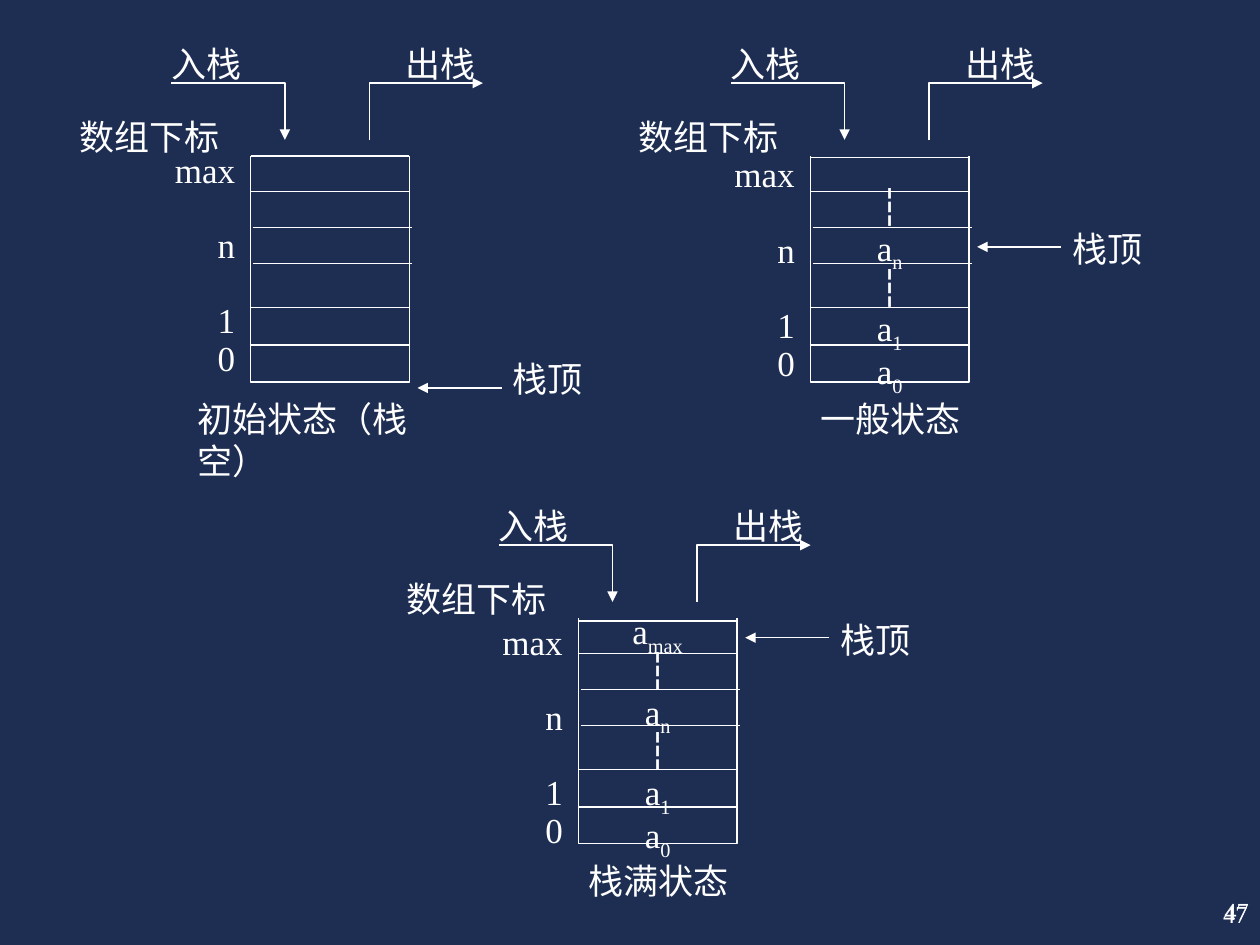
from lxml.etree import SubElement
from pptx import Presentation
from pptx.dml.color import RGBColor
from pptx.enum.shapes import MSO_CONNECTOR
from pptx.enum.text import MSO_ANCHOR, PP_ALIGN
from pptx.oxml.ns import qn
from pptx.util import Pt

COLORS = {"background": "1E2E53", "ink": "FFFFFF"}
FONT = "Times New Roman"

presentation = Presentation()
presentation.slide_width, presentation.slide_height = Pt(720), Pt(540)
slide = presentation.slides.add_slide(presentation.slide_layouts[6])
slide.background.fill.solid()
slide.background.fill.fore_color.rgb = RGBColor.from_string(COLORS["background"])


def add_text(left, top, width, height, lines, align=PP_ALIGN.LEFT, size=20, margins=(0, 0)):
    """Each line is (text, subscript, line spacing, space before)."""
    frame = slide.shapes.add_textbox(Pt(left), Pt(top), Pt(width), Pt(height)).text_frame
    frame.word_wrap = True
    frame.margin_left = frame.margin_right = Pt(margins[0])
    frame.margin_top = frame.margin_bottom = Pt(margins[1])
    for index, (text, subscript, spacing, before) in enumerate(lines):
        paragraph = frame.add_paragraph() if index else frame.paragraphs[0]
        paragraph.alignment = align
        paragraph.line_spacing = spacing
        paragraph.space_before = Pt(before)
        paragraph.font.size = Pt(size)
        paragraph.font.name = FONT
        paragraph.font.color.rgb = RGBColor.from_string(COLORS["ink"])
        paragraph.add_run().text = text
        if subscript:
            run = paragraph.add_run()
            run.text = subscript
            run._r.get_or_add_rPr().set("baseline", "-25000")
    return frame


def add_line(points, arrow=None):
    """Two points make a connector, more make an open outline; arrow is headEnd or tailEnd."""
    points = [(Pt(x), Pt(y)) for x, y in points]
    if len(points) == 2:
        shape = slide.shapes.add_connector(MSO_CONNECTOR.STRAIGHT, *points[0], *points[1])
    else:
        builder = slide.shapes.build_freeform(*points[0], scale=1)
        builder.add_line_segments(points[1:], close=False)
        shape = builder.convert_to_shape()
        shape.fill.background()
    shape.line.color.rgb = RGBColor.from_string(COLORS["ink"])
    shape.line.width = Pt(0.75)
    properties = shape._element.spPr
    if arrow:
        SubElement(properties.find(qn("a:ln")), qn(f"a:{arrow}"), type="triangle")
    SubElement(properties, qn("a:effectLst"))


STACK_WIDTH, STACK_HEIGHT = 90.7, 129
# (offset from the stack top, shift to the right)
DIVIDERS = [(20.2, 0), (41, 1.5), (61.2, 1.5), (86.4, 0), (108, 0)]
LOWER_CELLS = [("┆", ""), ("a", "n"), ("┆", ""), ("a", "1"), ("a", "0")]
# Index labels with the gap left above each
INDEXES = [("max", 0), ("n", 21.4), ("1", 21.4), ("0", 0)]

# Vertical offsets below are measured from the top of each stack
stacks = [
    dict(left=143.2, top=89.2, caption="初始状态（栈空）", caption_align=PP_ALIGN.LEFT,
         lid=0, index_top=-4.3, max_spacing=1.0,
         pointer=132.5, pointer_label=115.2, cells=[], cells_top=0),
    dict(left=463, top=89.2, caption="一般状态", caption_align=PP_ALIGN.CENTER,
         lid=0.8, index_top=0.8, max_spacing=0.9,
         pointer=51.9, pointer_label=41, cells=LOWER_CELLS, cells_top=18.8),
    dict(left=330.4, top=353.2, caption="栈满状态", caption_align=PP_ALIGN.CENTER,
         lid=1.6, index_top=-3.3, max_spacing=1.2,
         pointer=11.2, pointer_label=0.4,
         cells=[("a", "max")] + LOWER_CELLS, cells_top=-4.7),
]

for stack in stacks:
    left, top = stack["left"], stack["top"]
    right, bottom = left + STACK_WIDTH, top + STACK_HEIGHT

    # Stack walls, lid and dividers
    add_line([(left, top), (left, bottom), (right, bottom), (right, top)])
    for offset, shift in [(stack["lid"], 0)] + DIVIDERS:
        add_line([(left + shift, top + offset), (right + shift, top + offset)])

    # Stored elements
    if stack["cells"]:
        add_text(left + 4.7, top + stack["cells_top"], 81.4, 22 * len(stack["cells"]),
                 [(text, subscript, 0.9, 0) for text, subscript in stack["cells"]],
                 PP_ALIGN.CENTER)

    # Push and pop arrows
    bend, tip = top - 41.7, top - 9.3
    add_line([(left - 45.4, bend), (left + 19.6, bend), (left + 19.6, tip)], "tailEnd")
    add_line([(left + 132.8, bend), (left + 67.9, bend), (left + 67.9, tip)], "headEnd")
    for text, offset in [("入栈", -45.4), ("出栈", 88.6)]:
        add_text(left + offset, top - 65.2, 62, 20.2, [(text, "", 1.0, 0)])

    # Array indexes
    add_text(left - 125.2, top - 23, 107.3, 20.9, [("数组下标", "", 1.0, 0)], PP_ALIGN.RIGHT)
    add_text(left - 49.8, top + stack["index_top"], 41, 135.4,
             [(text, "", stack["max_spacing"] if text == "max" else 0.9, gap)
              for text, gap in INDEXES], PP_ALIGN.RIGHT)

    # Top-of-stack pointer
    pointer = top + stack["pointer"]
    add_line([(left + 143.5, pointer), (left + 95.4, pointer)], "tailEnd")
    add_text(left + 149.8, top + stack["pointer_label"], 107.3, 20.9, [("栈顶", "", 1.0, 0)])

    # Caption
    add_text(left - 30.2, top + 137.7, 152.6, 36.7,
             [(stack["caption"], "", 1.0, 0)], stack["caption_align"])

# Page number, set twice
for left, top, width, height, anchor in [(681.1, 508.3, 39.6, 24.5, MSO_ANCHOR.TOP),
                                         (570.2, 504, 149.8, 36, MSO_ANCHOR.MIDDLE)]:
    frame = add_text(left, top, width, height, [("47", "", 1.0, 0)],
                     PP_ALIGN.RIGHT, 14, (7.2, 3.6))
    frame.vertical_anchor = anchor

presentation.save("out.pptx")
